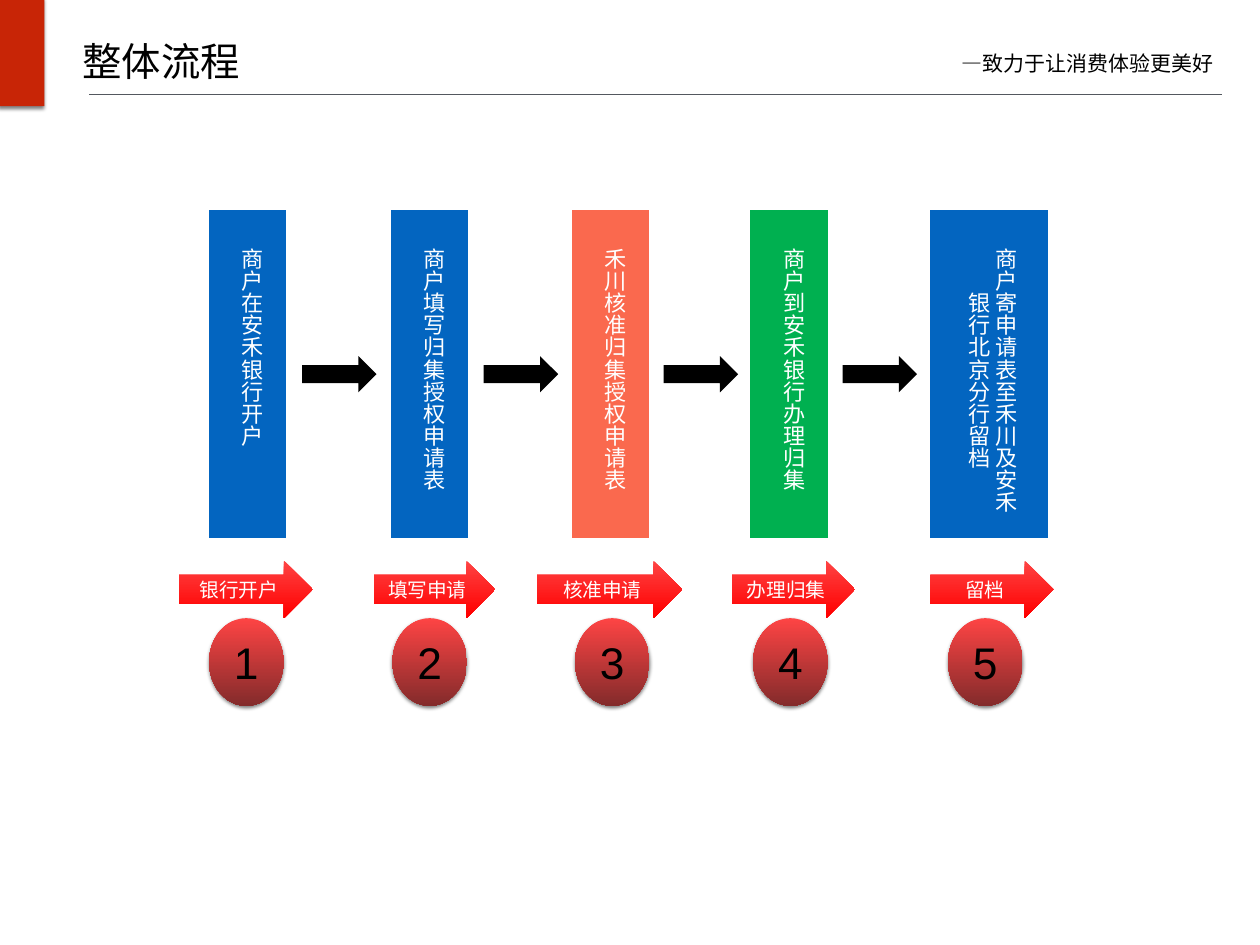
from collections import namedtuple
from pptx import Presentation
from pptx.dml.color import RGBColor
from pptx.enum.shapes import MSO_CONNECTOR, MSO_SHAPE
from pptx.enum.text import MSO_ANCHOR, MSO_AUTO_SIZE, PP_ALIGN
from pptx.oxml import parse_xml
from pptx.oxml.ns import nsdecls
from pptx.util import Inches, Pt

RECTANGLE, PROCESS = MSO_SHAPE.RECTANGLE, MSO_SHAPE.FLOWCHART_PROCESS
ARROW, OVAL = MSO_SHAPE.RIGHT_ARROW, MSO_SHAPE.OVAL
STRAIGHT = MSO_CONNECTOR.STRAIGHT
LEFT, CENTER = PP_ALIGN.LEFT, PP_ALIGN.CENTER
TOP, MIDDLE = MSO_ANCHOR.TOP, MSO_ANCHOR.MIDDLE
FIT_SHAPE, NO_FIT = MSO_AUTO_SIZE.SHAPE_TO_FIT_TEXT, MSO_AUTO_SIZE.NONE

Box = namedtuple("Box", "left top width height")
Step = namedtuple("Step", "text color left width text_left text_width tag tag_left tag_width badge_left")

STEPS = [
    Step("商户在安禾银行开户", "0365C0", 2.36, 0.87, 2.4, 0.64, "银行开户", 2.02, 1.51, 2.36),
    Step("商户填写归集授权申请表", "0365C0", 4.41, 0.87, 4.59, 0.51, "填写申请", 4.22, 1.37, 4.43),
    Step("禾川核准归集授权申请表", "FA694E", 6.46, 0.87, 6.63, 0.51, "核准申请", 6.06, 1.64, 6.49),
    Step("商户到安禾银行办理归集", "00B050", 8.47, 0.87, 8.65, 0.51, "办理归集", 8.26, 1.39, 8.5),
    Step("商户寄申请表至禾川及安禾银行北京分行留档", "0365C0", 10.5, 1.33, 10.74, 0.81, "留档", 10.5, 1.39, 10.7),
]


def rgb(color):
    """Turn a hex string into a colour."""
    return RGBColor.from_string(color)


def inches(box):
    """Convert every length of a box to slide units."""
    return [Inches(length) for length in box]


def write(shape, text, size=18, color="000000", align=CENTER, anchor=MIDDLE,
          inset=None, wrap=True, fit=NO_FIT, vertical=False):
    """Write formatted text into a shape."""
    frame = shape.text_frame
    frame.word_wrap, frame.auto_size, frame.vertical_anchor = wrap, fit, anchor
    if inset is not None:
        frame.margin_left = frame.margin_right = Inches(inset)
        frame.margin_top = frame.margin_bottom = Inches(inset)
    if vertical:
        shape.element.txBody.bodyPr.set("vert", "eaVert")
    para = frame.paragraphs[0]
    para.alignment = align
    span = para.add_run()
    span.text = text
    span.font.name, span.font.size = "Arial", Pt(size)
    span.font.color.rgb = rgb(color)


def add_shape(page, kind, box, *colors, last_stop=1.0, shadow=False):
    """Add a borderless shape with a solid or top-to-bottom gradient fill."""
    shape = page.shapes.add_shape(kind, *inches(box))
    shape.line.fill.background()
    shape.shadow.inherit = False
    if len(colors) == 1:
        shape.fill.solid()
        shape.fill.fore_color.rgb = rgb(colors[0])
    else:
        shape.fill.gradient()
        shape.fill.gradient_angle = 270
        for stop, color, position in zip(shape.fill.gradient_stops, colors, (0, last_stop)):
            stop.color.rgb, stop.position = rgb(color), position
    if shadow:
        effects = shape.element.spPr.find("{*}effectLst")
        effects.append(parse_xml(
            f'<a:outerShdw {nsdecls("a")} blurRad="{Pt(3)}" dist="{Pt(2)}" dir="5400000" rotWithShape="0">'
            '<a:srgbClr val="000000"><a:alpha val="50000"/></a:srgbClr></a:outerShdw>'))
    return shape


def add_header(page, box):
    """Place the red marker, title, slogan and rule."""
    add_shape(page, RECTANGLE, Box(box.left - 0.02, box.top - 0.03, 0.52, 1.23), "C82506", shadow=True)
    title = page.shapes.title
    title.left, title.top, title.width, title.height = inches((box.left + 0.87, box.top + 0.37, 2.75, 0.64))
    write(title, "整体流程", size=32, align=LEFT, inset=0.06)
    right = box.left + box.width
    slogan = page.shapes.add_textbox(*inches((right - 3.48, box.top + 0.49, 3.02, 0.44)))
    write(slogan, " —致力于让消费体验更美好", size=17, inset=0.06, wrap=False, fit=FIT_SHAPE)
    height = box.top + box.height
    rule = page.shapes.add_connector(STRAIGHT, *inches((box.left + 1.01, height, right - 0.43, height)))
    rule.line.color.rgb, rule.line.width = rgb("53585F"), Pt(0.5)
    rule.element.spPr.append(parse_xml(f'<a:effectLst {nsdecls("a")}/>'))


def add_panels(page, box):
    """Place the vertical step panels and the arrows centred between them."""
    for step in STEPS:
        add_shape(page, PROCESS, Box(step.left, box.top, step.width, box.height), step.color)
        label = page.shapes.add_textbox(*inches((step.text_left, box.top + 0.33, step.text_width, 3.25)))
        write(label, step.text, color="FFFFFF", anchor=TOP, fit=FIT_SHAPE, vertical=True)
    for step, following in zip(STEPS, STEPS[1:]):
        middle = (step.left + step.width + following.left) / 2
        add_shape(page, ARROW, Box(middle - 0.41, box.top + 1.65, 0.84, 0.41), "000000")


def add_stages(page, box):
    """Place the red stage arrows with their numbered badges below."""
    for number, step in enumerate(STEPS, 1):
        tag = add_shape(page, ARROW, Box(step.tag_left, box.top, step.tag_width, 0.65),
                        "FE4444", "FF0000", last_stop=0.97)
        write(tag, step.tag, size=16, color="FFFFFF")
        badge = add_shape(page, OVAL, Box(step.badge_left, box.top + 0.65, 0.84, box.height - 0.65),
                          "FE4444", "832B2B", shadow=True)
        write(badge, str(number), size=36, inset=0.06)


def build():
    """Build and save the process slide."""
    deck = Presentation()
    deck.slide_width, deck.slide_height = Inches(14.22), Inches(10.67)
    page = deck.slides.add_slide(deck.slide_layouts.get_by_name("Title Only"))
    add_header(page, Box(0, 0, 14.22, 1.06))
    add_panels(page, Box(2.36, 2.37, 9.47, 3.71))
    add_stages(page, Box(2.02, 6.33, 9.87, 1.64))
    deck.save("out.pptx")


build()
